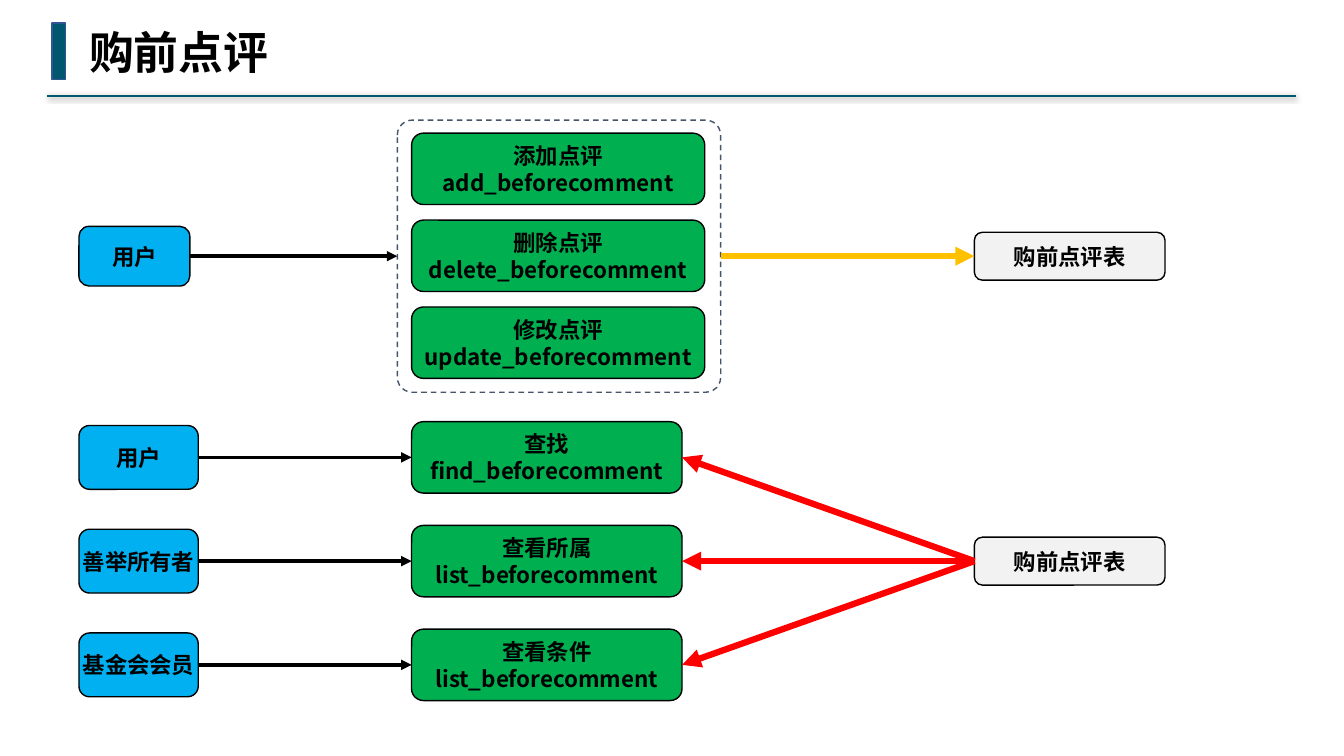
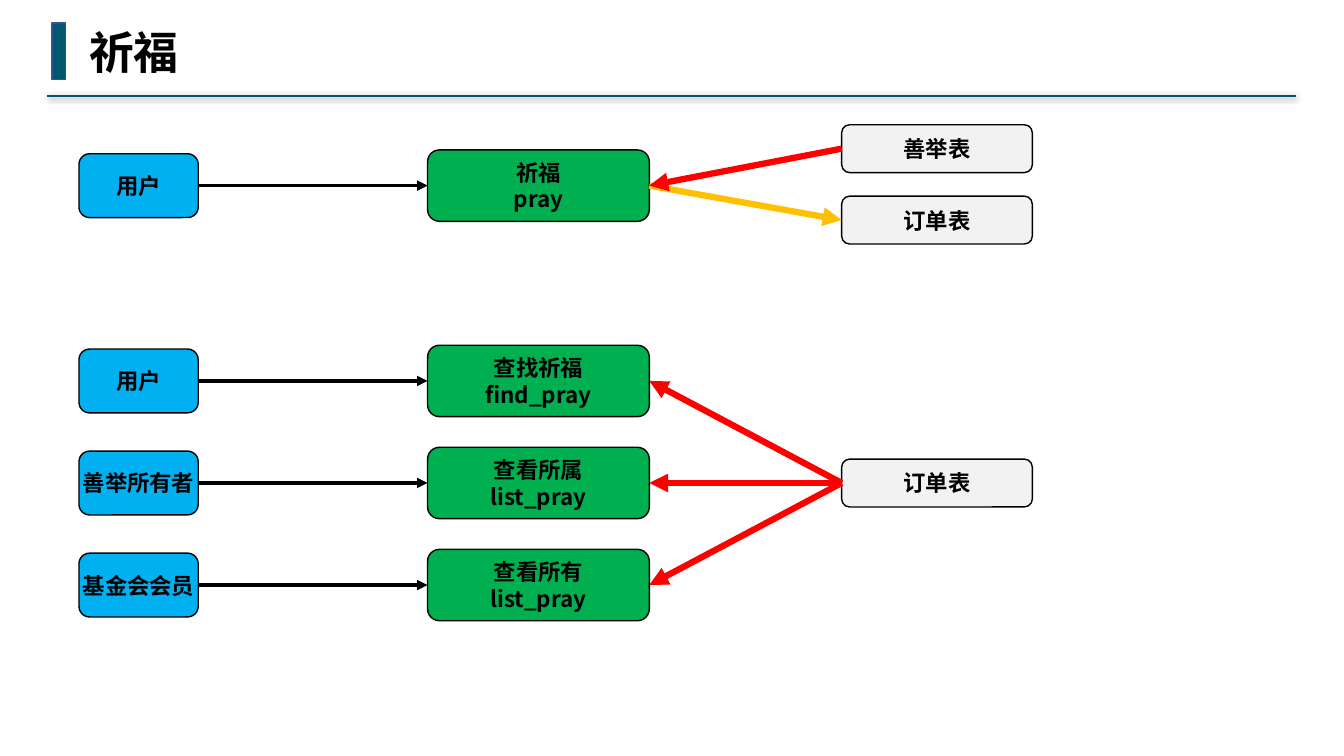
from lxml.etree import SubElement
from pptx import Presentation
from pptx.dml.color import RGBColor
from pptx.enum.dml import MSO_LINE as Dash
from pptx.enum.shapes import MSO_CONNECTOR as Wire, MSO_SHAPE as Form
from pptx.enum.text import MSO_ANCHOR as Anchor, MSO_AUTO_SIZE as Fit, PP_ALIGN as Align
from pptx.oxml.ns import qn
from pptx.util import Inches, Pt

rgb = RGBColor.from_string
deck = Presentation()
deck.slide_width, deck.slide_height = Inches(13.33), Inches(7.5)
col, row = deck.slide_width / 160, deck.slide_height / 90

INK, TEAL, EDGE, SLATE = "000000", "00576E", "325491", "44546A"
SANS, MONO = "Noto Sans CJK SC", "Courier New"
KINDS = {"user": "00B0F0", "task": "00B050", "table": "F2F2F2", "frame": None}
FLOWS = {"call": (INK, 2.5), "save": ("FFC000", 4.5), "load": ("FF0000", 4.5)}
LEFT = 9.4
USER, TABLE = (14.2, 7.6), (22.7, 5.7)
PEOPLE = ["用户", "善举所有者", "基金会会员"]


def write(frame, text, size, face, align, inset):
    look = {"word_wrap": False, "auto_size": Fit.NONE, "vertical_anchor": Anchor.MIDDLE,
            "margin_left": inset[0], "margin_right": inset[0],
            "margin_top": inset[1], "margin_bottom": inset[1], "text": text}
    for key, val in look.items():
        setattr(frame, key, val)
    for para in frame.paragraphs:
        para.alignment, para.line_spacing = align, Pt(size * 1.2)
        run = para.runs[0]
        for key, val in {"size": Pt(size), "bold": True, "name": face}.items():
            setattr(run.font, key, val)
        run.font.color.rgb = rgb(INK)
        SubElement(run.font._element, qn("a:ea"), typeface=SANS)


def draw(slide, form, left, top, wide, high, fill, edge):
    shape = slide.shapes.add_shape(form, *(int(n) for n in (left * col, top * row, wide * col, high * row)))
    shape.shadow.inherit = False
    if fill:
        shape.fill.solid()
        shape.fill.fore_color.rgb = rgb(fill)
    else:
        shape.fill.background()
    shape.line.color.rgb, shape.line.width = rgb(edge), Pt(1)
    return shape


review = {"frame": ("frame", "", 47.3, 30.5, 38.5, 32.4),
          "buyer": ("user", "用户", LEFT, 30.5, 13.2, 7.1),
          "store": ("table", "购前点评表", 116, 30.5, *TABLE),
          "source": ("table", "购前点评表", 116, 66.8, *TABLE)}
for i, text in enumerate(["添加点评\nadd_beforecomment", "删除点评\ndelete_beforecomment",
                          "修改点评\nupdate_beforecomment"]):
    review[f"edit{i}"] = ("task", text, 49, 20.1 + 10.35 * i, 34.9, 8.5)

prayer = {"buyer": ("user", "用户", LEFT, 22.1, *USER),
          "pray": ("task", "祈福\npray", 50.9, 22.1, 26.4, 8.5),
          "deed": ("table", "善举表", 100.2, 17.7, *TABLE),
          "order": ("table", "订单表", 100.2, 26.2, *TABLE),
          "source": ("table", "订单表", 100.2, 57.5, *TABLE)}

PAGES = [
    ("购前点评", review, [("buyer", "frame", "call"), ("frame", "store", "save")],
     ["查找\nfind_beforecomment", "查看所属\nlist_beforecomment", "查看条件\nlist_beforecomment"],
     49, 32.2, 54.45, 12.35),
    ("祈福", prayer, [("buyer", "pray", "call"), ("pray", "order", "save"), ("deed", "pray", "load")],
     ["查找祈福\nfind_pray", "查看所属\nlist_pray", "查看所有\nlist_pray"],
     50.9, 26.4, 45.35, 12.15),
]

for name, nodes, links, tasks, left, wide, first, step in PAGES:
    slide = deck.slides.add_slide(deck.slide_layouts[5])

    rule = slide.shapes.add_connector(Wire.STRAIGHT, int(154.3 * col), int(11.4 * row),
                                      int(5.6 * col), int(11.4 * row))
    rule.line.color.rgb, rule.line.width = rgb(TEAL), Pt(1.5)
    glow = SubElement(SubElement(rule._element.spPr, qn("a:effectLst")), qn("a:outerShdw"),
                      blurRad=str(Pt(4)), dist=str(Pt(1)), dir="5400000", algn="t", rotWithShape="0")
    tint = SubElement(glow, qn("a:srgbClr"), val=INK)
    SubElement(tint, qn("a:alpha"), val="40000")
    draw(slide, Form.RECTANGLE, 6.2, 2.75, 1.6, 6.75, TEAL, EDGE)

    title = slide.shapes.title
    place = {"left": LEFT * col, "top": 2.3 * row, "width": (2.6 + 5.33 * len(name)) * col, "height": 7.7 * row}
    for key, val in place.items():
        setattr(title, key, int(val))
    write(title.text_frame, name, 32, MONO, Align.LEFT, (Inches(0.1), Inches(0.05)))

    for i, (who, task) in enumerate(zip(PEOPLE, tasks)):
        mid = first + step * i
        nodes[f"user{i}"] = ("user", who, LEFT, mid, *USER)
        nodes[f"task{i}"] = ("task", task, left, mid, wide, 8.5)
        links += [(f"user{i}", f"task{i}", "call"), ("source", f"task{i}", "load")]

    shapes = {}
    for key, (kind, text, x, mid, w, h) in nodes.items():
        edge = SLATE if kind == "frame" else INK
        shape = draw(slide, Form.ROUNDED_RECTANGLE, x, mid - h / 2, w, h, KINDS[kind], edge)
        if kind == "frame":
            shape.adjustments[0] = 0.055
            shape.line.dash_style = Dash.DASH
        else:
            write(shape.text_frame, text, 16, SANS, Align.CENTER, (Inches(0.04), Inches(0.04)))
        shapes[key] = shape

    for start, end, flow in links:
        a, b = shapes[start], shapes[end]
        hue, thick = FLOWS[flow]
        out, into = (3, 1) if a.left < b.left else (1, 3)
        wire = slide.shapes.add_connector(Wire.STRAIGHT, 0, 0, 0, 0)
        wire.begin_connect(a, out)
        wire.end_connect(b, into)
        wire.line.color.rgb, wire.line.width = rgb(hue), Pt(thick)
        SubElement(wire.line._get_or_add_ln(), qn("a:tailEnd"), type="triangle")
        SubElement(wire._element.spPr, qn("a:effectLst"))

deck.save("out.pptx")
